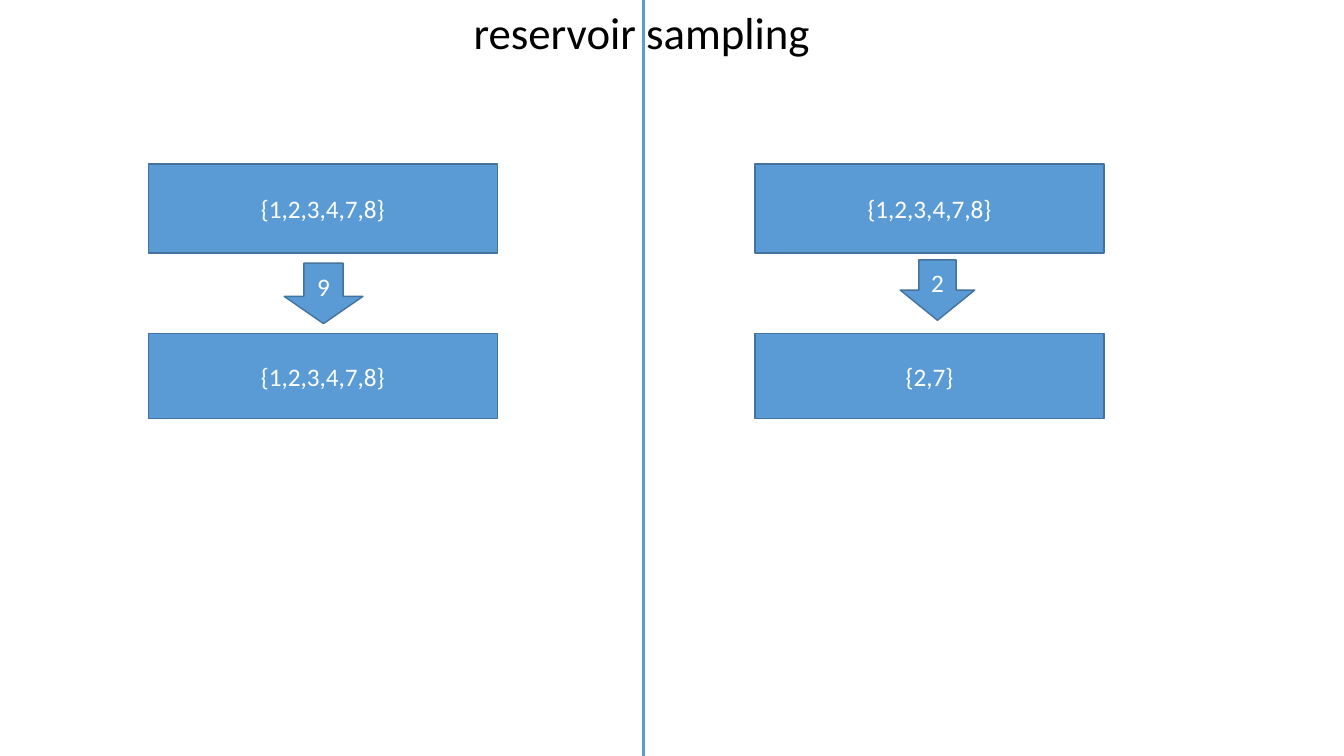
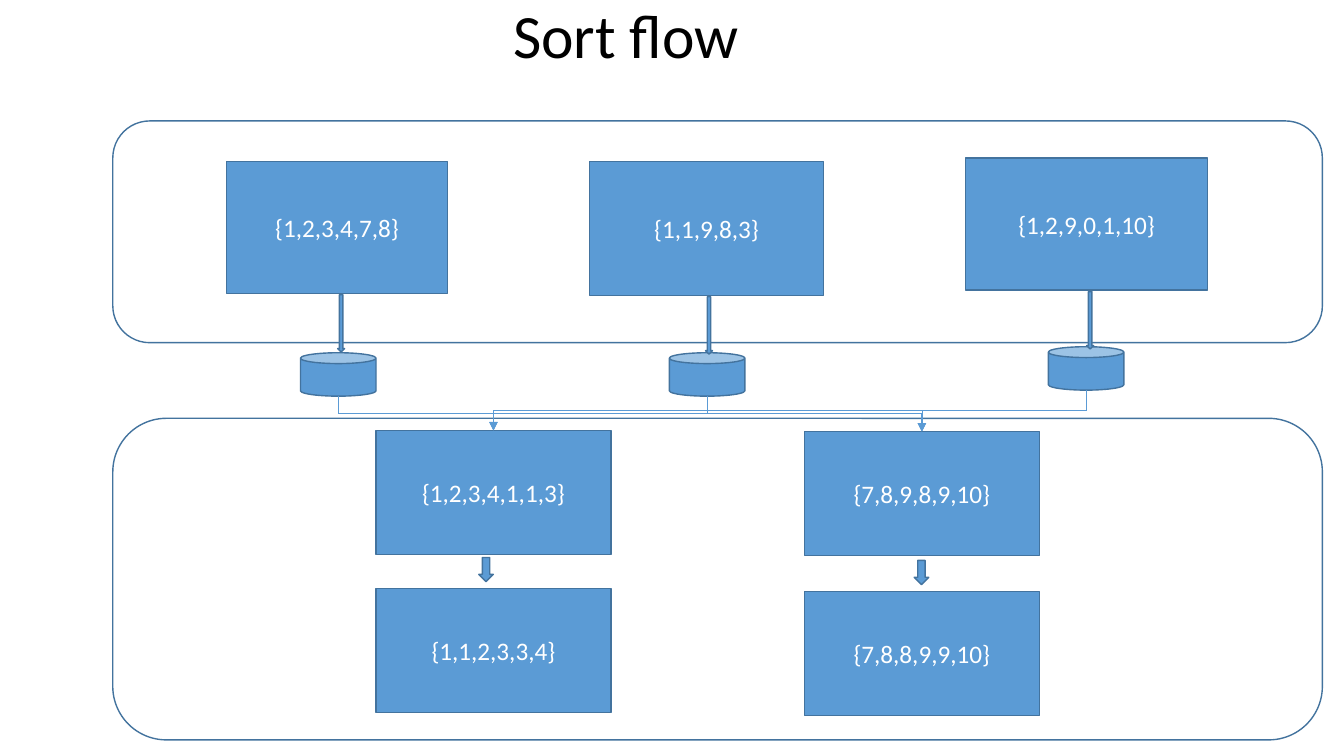
from dataclasses import dataclass

from lxml import etree
from pptx import Presentation
from pptx.dml.color import RGBColor
from pptx.enum.shapes import MSO_CONNECTOR, MSO_SHAPE
from pptx.enum.text import MSO_ANCHOR, MSO_AUTO_SIZE, PP_ALIGN
from pptx.oxml.ns import qn
from pptx.util import Pt

RECT, PANEL = MSO_SHAPE.RECTANGLE, MSO_SHAPE.ROUNDED_RECTANGLE
DOWN_ARROW, CAN = MSO_SHAPE.DOWN_ARROW, MSO_SHAPE.CAN
STRAIGHT, ELBOW = MSO_CONNECTOR.STRAIGHT, MSO_CONNECTOR.ELBOW
TOP, MIDDLE = MSO_ANCHOR.TOP, MSO_ANCHOR.MIDDLE
LEFT, CENTER = PP_ALIGN.LEFT, PP_ALIGN.CENTER
FIT_SHAPE = MSO_AUTO_SIZE.SHAPE_TO_FIT_TEXT
QUARTER_TURN = 90 * 60000


@dataclass(frozen=True)
class Theme:
    font: str = "Calibri"
    fill: RGBColor = RGBColor(0x5B, 0x9B, 0xD5)
    outline: RGBColor = RGBColor(0x43, 0x73, 0x9E)
    title: RGBColor = RGBColor(0, 0, 0)
    label: RGBColor = RGBColor(0xFF, 0xFF, 0xFF)
    label_size: float = 18
    subtitle_size: float = 32
    title_size: float = 44
    outline_width: float = 1
    divider_width: float = 2.25
    flow_width: float = 0.5


def apply(target, values):
    for name, value in values.items():
        setattr(target, name, value)


class Deck:
    def __init__(self, theme, width, height):
        self.theme = theme
        self.presentation = Presentation()
        apply(self.presentation, {"slide_width": Pt(width), "slide_height": Pt(height)})
        self.slide = None

    def new_slide(self):
        self.slide = self.presentation.slides.add_slide(self.presentation.slide_layouts[6])

    def set_text(self, frame, text, size, color, frame_format, paragraph_format):
        apply(frame, {"word_wrap": True, **frame_format})
        paragraph = frame.paragraphs[0]
        apply(paragraph, paragraph_format)
        run = paragraph.add_run()
        run.text = text
        apply(run.font, {"name": self.theme.font, "size": Pt(size)})
        run.font.color.rgb = color

    def title(self, bounds, text, size, frame_format, paragraph_format):
        box = self.slide.shapes.add_textbox(*map(Pt, bounds))
        self.set_text(box.text_frame, text, size, self.theme.title,
                      {"vertical_anchor": TOP, **frame_format}, paragraph_format)

    def shape(self, kind, bounds, text="", filled=True, adjustments=()):
        shape = self.slide.shapes.add_shape(kind, *map(Pt, bounds))
        shape.shadow.inherit = False
        if filled:
            shape.fill.solid()
            shape.fill.fore_color.rgb = self.theme.fill
        else:
            shape.fill.background()
        shape.line.color.rgb = self.theme.outline
        shape.line.width = Pt(self.theme.outline_width)
        for index, value in enumerate(adjustments):
            shape.adjustments[index] = value
        if text:
            self.set_text(shape.text_frame, text, self.theme.label_size, self.theme.label,
                          {"vertical_anchor": MIDDLE}, {"alignment": CENTER})

    def line(self, kind, start, end, width):
        line = self.slide.shapes.add_connector(kind, *map(Pt, (*start, *end)))
        line.line.color.rgb = self.theme.fill
        line.line.width = Pt(width)
        etree.SubElement(line._element.spPr, qn("a:effectLst"))
        return line

    def flow(self, start, end):
        run, drop = end[0] - start[0], end[1] - start[1]
        middle_x, middle_y = (start[0] + end[0]) / 2, (start[1] + end[1]) / 2
        side = 1 if run > 0 else -1
        half = abs(run) / 2
        link = self.line(ELBOW, (middle_x + side * drop / 2, middle_y - half),
                         (middle_x - side * drop / 2, middle_y + half), self.theme.flow_width)
        properties = link._element.spPr
        properties.xfrm.set("rot", str(QUARTER_TURN * (3 if run > 0 else 1)))
        etree.SubElement(properties.get_or_add_ln(), qn("a:tailEnd"), type="triangle")


def reservoir_sampling(deck):
    deck.new_slide()
    columns = (
        (106, "{1,2,3,4,7,8}", "{1,2,3,4,7,8}", "9", (203, 188, 56.2, 43.2), (0.5, 0.45)),
        (539.3, "{1,2,3,4,7,8}", "{2,7}", "2", (643, 185.6, 53.3, 43.2), ()),
    )
    for left, before, after, item, arrow, adjustments in columns:
        deck.shape(RECT, (left, 117.2, 249.3, 63.4), before)
        deck.shape(RECT, (left, 238.4, 249.3, 60.4), after)
        deck.shape(DOWN_ARROW, arrow, item, adjustments=adjustments)
    deck.line(STRAIGHT, (459.4, 0), (459.4, 540), deck.theme.divider_width)
    deck.title((331.2, 0, 257, 46), "reservoir sampling", deck.theme.subtitle_size,
               {"word_wrap": False, "auto_size": FIT_SHAPE}, {"alignment": LEFT})


def sort_flow(deck):
    deck.new_slide()
    deck.title((0, 0, 950.4, 85), "Sort flow", deck.theme.title_size,
               {"margin_right": Pt(63)}, {"alignment": CENTER, "line_spacing": 0.9})
    inputs = (
        ((162, 115.2, 157.7, 94.3), "{1,2,3,4,7,8}", (214.6, 252), 241.2),
        ((421.2, 115.2, 167, 95.8), "{1,1,9,8,3}", (478.1, 252), 504),
        ((689.8, 113, 172.8, 94.3), "{1,2,9,0,1,10}", (748.8, 247.7), 776.2),
    )
    partitions = (
        (268.6, 307.4, "{1,2,3,4,1,1,3}", 420.5, "{1,1,2,3,3,4}", (342, 398.2)),
        (574.6, 308.2, "{7,8,9,8,9,10}", 422.6, "{7,8,8,9,9,10}", (653, 400.3)),
    )
    can_size, partition_size = (54, 31), (167.8, 88.6)
    for bounds, values, _, _ in inputs:
        deck.shape(RECT, bounds, values)
    for left, top, values, sorted_top, sorted_values, _ in partitions:
        deck.shape(RECT, (left, top, *partition_size), values)
        deck.shape(RECT, (left, sorted_top, *partition_size), sorted_values)
    for top, height in ((86.4, 158.4), (298.8, 229.7)):
        deck.shape(PANEL, (80.6, top, 864, height), filled=False)
    for _, _, can, _ in inputs:
        deck.shape(CAN, (*can, *can_size))
    for left, top, *_ in partitions:
        for _, _, can, _ in inputs:
            deck.flow((can[0] + can_size[0] / 2, can[1] + can_size[1]),
                      (left + partition_size[0] / 2, top))
    for *_, arrow in partitions:
        deck.shape(DOWN_ARROW, (*arrow, 10.4, 17.3))
    for bounds, _, _, arrow_left in inputs:
        deck.shape(DOWN_ARROW, (arrow_left, bounds[1] + bounds[3] + 1, 5, 41))


deck = Deck(Theme(), 960, 540)
reservoir_sampling(deck)
sort_flow(deck)
deck.presentation.save("out.pptx")
